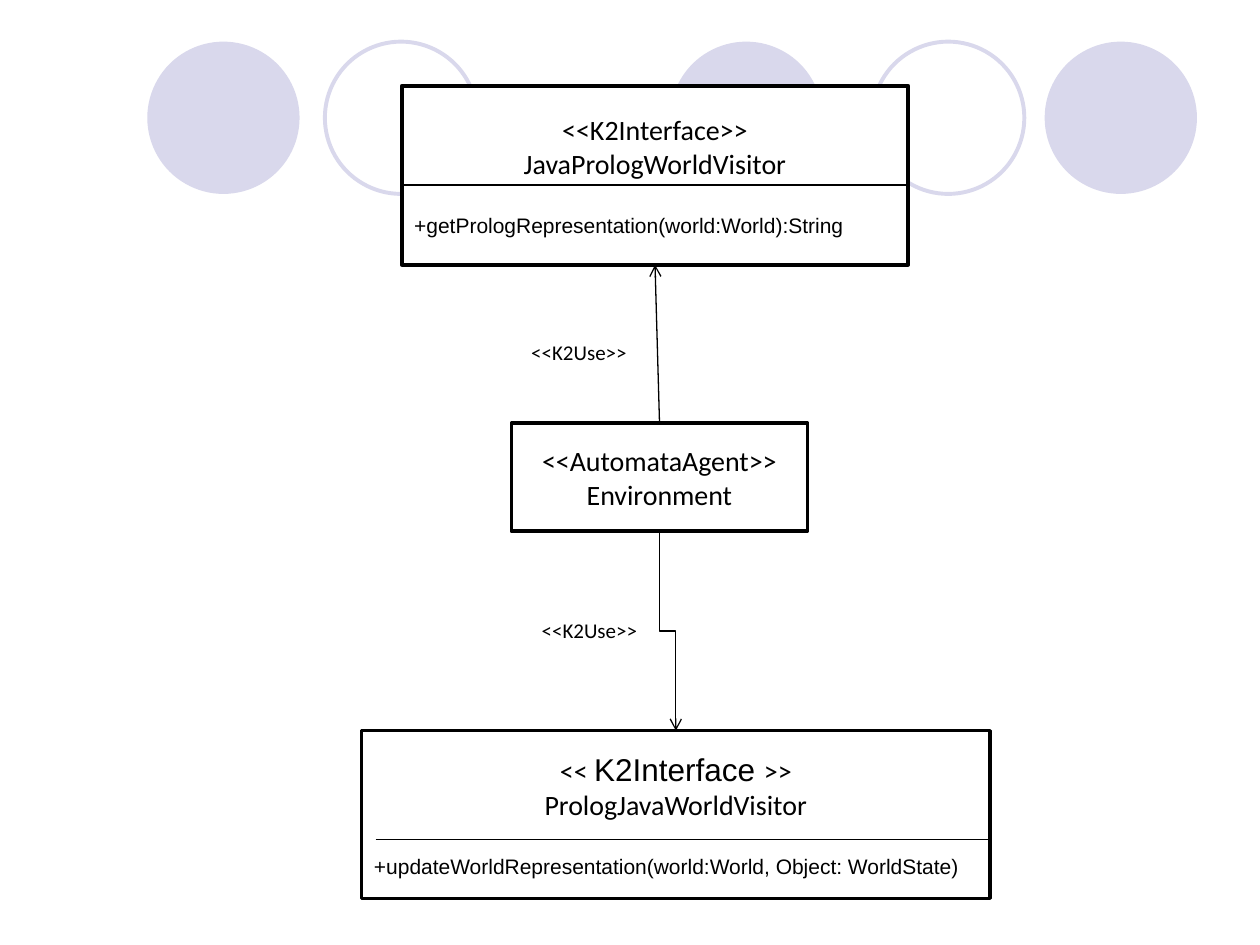
from dataclasses import dataclass

from pptx import Presentation
from pptx import util as u
from pptx.dml.color import RGBColor
from pptx.enum import shapes, text
from pptx.oxml.ns import qn
from lxml import etree


@dataclass(frozen=True)
class Theme:
    ink: RGBColor = RGBColor(0, 0, 0)
    paper: RGBColor = RGBColor(255, 255, 255)
    lilac: RGBColor = RGBColor(0xD9, 0xD8, 0xEC)
    head: str = "Calibri"
    body: str = "Arial"
    large: float = 18
    name: float = 16
    small: float = 12
    gap: float = 18.5
    frame: float = 2
    ring: float = 2.25
    thin: float = 0.75


class Diagram:
    def __init__(self, slide, theme):
        self.slide = slide
        self.theme = theme

    def circle(self, left, filled):
        dot = self.slide.shapes.add_shape(
            shapes.MSO_SHAPE.OVAL, u.Cm(left), u.Cm(0.84), u.Cm(3.07), u.Cm(3.07))
        dot.shadow.inherit = False
        if filled:
            dot.fill.solid()
            dot.fill.fore_color.rgb = self.theme.lilac
            dot.line.fill.background()
        else:
            dot.fill.background()
            dot.line.color.rgb = self.theme.lilac
            dot.line.width = u.Pt(self.theme.ring)

    def add_runs(self, para, runs, align=text.PP_ALIGN.LEFT):
        """Add (words, font, size) runs to a paragraph."""
        para.alignment = align
        for words, font, size in runs:
            run = para.add_run()
            run.text = words
            run.font.name = font
            run.font.size = u.Pt(size)
            run.font.color.rgb = self.theme.ink

    def box(self, left, top, width, height, heads, method=None):
        """Draw a class box with centred heads and an optional method line."""
        box = self.slide.shapes.add_shape(
            shapes.MSO_SHAPE.RECTANGLE, *map(u.Cm, (left, top, width, height)))
        box.shadow.inherit = False
        box.fill.solid()
        box.fill.fore_color.rgb = self.theme.paper
        box.line.color.rgb = self.theme.ink
        box.line.width = u.Pt(self.theme.frame)
        frame = box.text_frame
        frame.word_wrap = True
        frame.vertical_anchor = text.MSO_ANCHOR.MIDDLE
        for i, runs in enumerate(heads):
            para = frame.add_paragraph() if i else frame.paragraphs[0]
            self.add_runs(para, runs, text.PP_ALIGN.CENTER)
        if method:
            para = frame.add_paragraph()
            para.space_before = u.Pt(self.theme.gap)
            self.add_runs(para, [(method, self.theme.body, self.theme.small)])
        return box

    def label(self, left, top, words):
        box = self.slide.shapes.add_textbox(*map(u.Cm, (left, top, 2.44, 0.76)))
        box.text_frame.word_wrap = False
        box.text_frame.auto_size = text.MSO_AUTO_SIZE.SHAPE_TO_FIT_TEXT
        self.add_runs(box.text_frame.paragraphs[0],
                      [(words, self.theme.head, self.theme.small)])

    def line(self, ends=(0, 0, 0, 0), kind=shapes.MSO_CONNECTOR.STRAIGHT):
        line = self.slide.shapes.add_connector(kind, *map(u.Cm, ends))
        line.line.color.rgb = self.theme.ink
        line.line.width = u.Pt(self.theme.thin)
        etree.SubElement(line._element.spPr, qn("a:effectLst"))
        return line

    def arrow(self, start, side, end, goal, kind=shapes.MSO_CONNECTOR.STRAIGHT):
        line = self.line(kind=kind)
        line.begin_connect(start, side)
        line.end_connect(end, goal)
        stroke = line._element.spPr.find(qn("a:ln"))
        etree.SubElement(stroke, qn("a:tailEnd"), type="arrow")
        return line

    def elbow(self, start, end):
        """Join bottom to top with a bend that leaves downwards, then right."""
        line = self.arrow(start, 2, end, 0, shapes.MSO_CONNECTOR.ELBOW)
        wide, high = line.width, line.height
        mid_x, mid_y = line.left + wide // 2, line.top + high // 2
        line.left, line.top = mid_x - high // 2, mid_y - wide // 2
        line.width, line.height = high, wide
        form = line._element.spPr.find(qn("a:xfrm"))
        form.set("rot", str(270 * 60000))
        form.set("flipH", "1")


def main():
    deck = Presentation()
    deck.slide_width, deck.slide_height = u.Cm(25.4), u.Cm(19.05)
    theme = Theme()
    art = Diagram(deck.slides.add_slide(deck.slide_layouts[6]), theme)

    for left, filled in ((13.51, True), (21.06, True), (2.97, True),
                         (17.58, False), (6.55, False)):
        art.circle(left, filled)

    def head(words):
        return [(words, theme.head, theme.name)]

    visitor = art.box(8.1, 1.73, 10.21, 3.61,
                      [head("<<K2Interface>>"), head("JavaPrologWorldVisitor")],
                      "+getPrologRepresentation(world:World):String")
    agent = art.box(10.31, 8.53, 5.97, 2.18,
                    [head("<<AutomataAgent>>"), head("Environment")])
    mixed = head("<< ") + [("K2Interface ", theme.body, theme.large)] + head(">>")
    updater = art.box(7.29, 14.73, 12.67, 3.38,
                      [mixed, head("PrologJavaWorldVisitor")],
                      "+updateWorldRepresentation(world:World, Object: WorldState)")

    art.arrow(agent, 0, visitor, 2)
    art.elbow(agent, updater)
    for left, top in ((10.46, 6.73), (10.67, 12.32)):
        art.label(left, top, "<<K2Use>>")
    art.line((7.57, 16.92, 19.96, 16.92))
    art.line((8.1, 3.73, 18.29, 3.73))

    deck.save("out.pptx")


if __name__ == "__main__":
    main()
